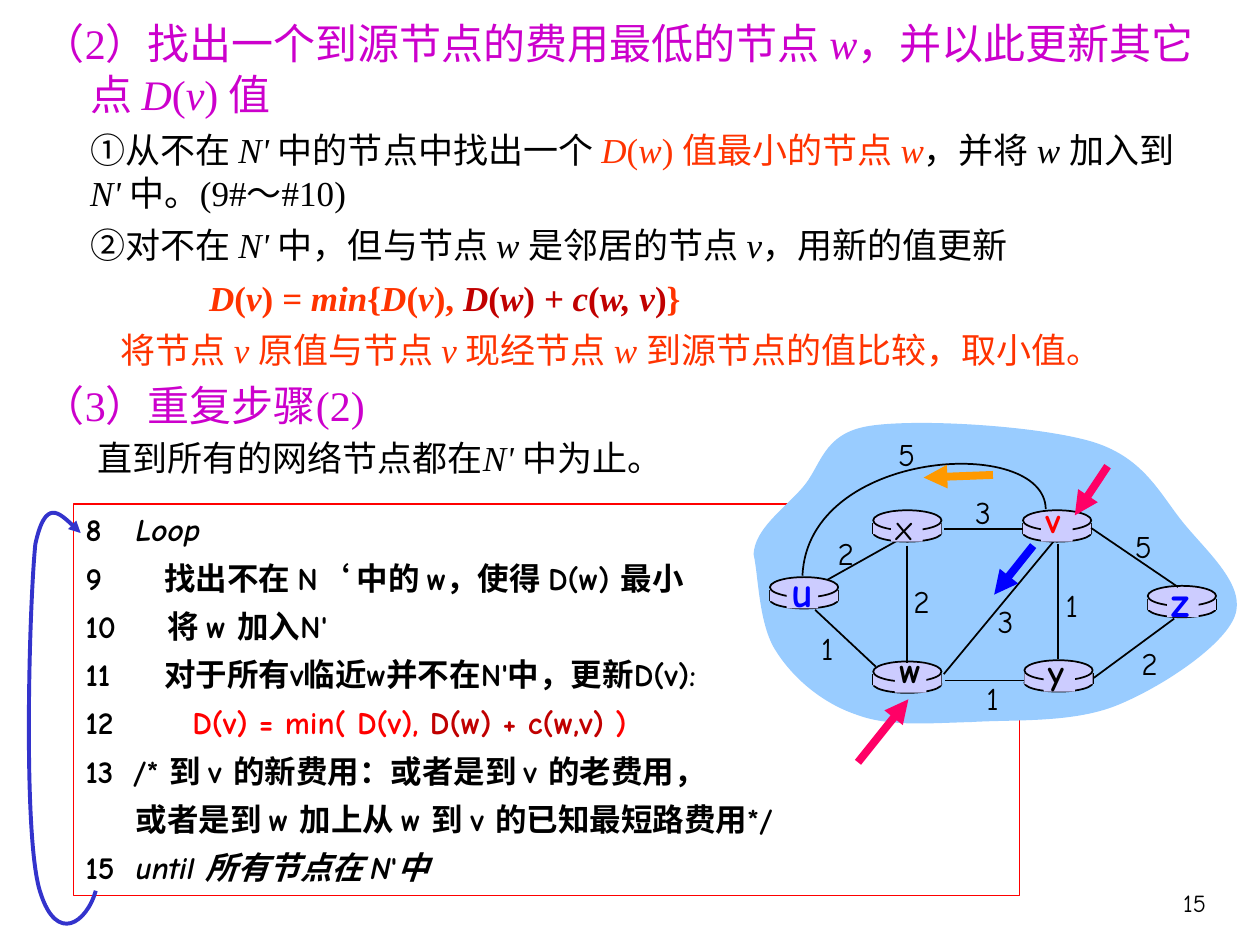
from pptx import Presentation
from pptx.dml.color import RGBColor
from pptx.enum.shapes import MSO_CONNECTOR as Link, MSO_SHAPE as Shape
from pptx.enum.text import MSO_ANCHOR as Anchor, MSO_AUTO_SIZE as Fit, PP_ALIGN as Align
from pptx.oxml.ns import qn
from pptx.util import Pt
from lxml.etree import SubElement

SERIF, COMIC = "Times New Roman", "Comic Neue"
BLACK, MAGENTA, ORANGE, DARK_RED, RED = "000000", "CC00CC", "FF3300", "C00000", "FF0000"
BLUE, PINK, LILAC = "0000FF", "FF0066", "CCCCFF"

# Underscores switch italics on and off.
# Each step: size, bold, left margin, first-line indent, space before, coloured parts.
STEPS = [
    (24, False, 27, -27, 4.8, [(MAGENTA, "（2）找出一个到源节点的费用最低的节点 _w_，并以此更新其它点 _D_(_v_) 值")]),
    (20, False, 27, 0, 6, [
        (BLACK, "①从不在 _N' _中的节点中找出一个 "),
        (ORANGE, "_D_(_w_) 值最小的节点 _w_"),
        (BLACK, "，并将 _w _加入到 _N' _中。(9#～#10)")]),
    (20, False, 27, 0, 6, [(BLACK, "②对不在 _N' _中，但与节点 _w _是邻居的节点 _v_，用新的值更新")]),
    (20, True, 95, 0, 6, [
        (ORANGE, "_D_(_v_)_ = min_{_D_(_v_), "),
        (DARK_RED, "_D_(_w_)_ + c_(_w, v_)"),
        (ORANGE, "}")]),
    (20, False, 44.6, 0, 6, [(ORANGE, "将节点 _v _原值与节点 _v _现经节点 _w _到源节点的值比较，取小值。")]),
    (24, False, 27, -27, 4.8, [(MAGENTA, "（3）重复步骤(2)")]),
    (20, False, 31, 0, 4, [(BLACK, "直到所有的网络节点都在_N' _中为止。")]),
]
CODE = [
    ("8", 28.6, [(BLACK, "_Loop_")]),
    ("9", 45, [(BLACK, "找出不在 N‘ 中的 w，使得 D(w) 最小")]),
    ("10", 47, [(BLACK, "将 w 加入N'")]),
    ("11", 45, [(BLACK, "对于所有v临近w并不在N'中，更新D(v):")]),
    ("12", 61, [(RED, "D(v) = min( D(v), "), (DARK_RED, "D(w) + c(w,v) "), (RED, ")")]),
    ("13", 27, [(BLACK, "/* 到 v 的新费用：或者是到 v 的老费用，")]),
    ("", 28.6, [(BLACK, "或者是到 w 加上从 w 到 v 的已知最短路费用*/")]),
    ("15", 28.6, [(BLACK, "_until 所有节点在 N_'_中_")]),
]
# Each router: name, corner, label corner, label size, label colour, bold.
ROUTERS = [
    ("u", (440, 329.8), (445, 319.7), 24, BLUE, True),
    ("w", (499, 378), (506.9, 367.2), 20, BLACK, True),
    ("x", (499, 291.6), (504.7, 285.1), 20, BLACK, False),
    ("v", (584.6, 291.6), (590.4, 281.5), 20, RED, True),
    ("y", (585.4, 377.3), (591.8, 367.9), 20, BLACK, True),
    ("z", (655.9, 334.8), (662.4, 325.4), 24, BLUE, True),
]
LINKS = [
    (473, 331.2, 515.5, 307.4), (604.8, 311, 604.8, 376.6), (518.4, 311.8, 518.4, 378.7),
    (539.3, 385.2, 601.9, 309.6), (625, 387.4, 671, 353.5), (585.4, 388.8, 540, 388.8),
    (500.4, 380.9, 465.8, 348.5), (584.6, 302.4, 539.3, 302.4), (673.2, 335.5, 623.5, 301.7),
]
COSTS = [
    ("2", 471.6, 301.7), ("2", 514.8, 329), ("1", 462.2, 355.7), ("3", 563, 340.6),
    ("1", 556.6, 384.5), ("1", 601.9, 331.2), ("2", 645.1, 364.3), ("5", 641.5, 297.4),
    ("3", 550.1, 277.9), ("5", 506.2, 244.8),
]
ARROWS = [
    (PINK, 490.3, 435.6, 519.1, 399.6), (PINK, 632.9, 266.4, 614.2, 294.5),
    ("FF9900", 567.4, 271.4, 527.8, 272.9), (BLUE, 590.4, 311.8, 568.1, 339.8),
]
CLOUD = [
    (430.6, 316.8), (431.3, 302.4), (447.1, 291.6), (457.9, 279.4), (469.4, 267.1),
    (469.4, 247.7), (496.8, 243.4), (524.9, 239), (594.7, 243.4), (625, 252.7),
    (654.5, 262.1), (663.1, 283), (676.8, 299.5), (690.5, 316.1), (712.1, 334.8),
    (705.6, 352.1), (699.1, 369.4), (663.1, 393.1), (637.9, 403.2), (612.7, 413.3),
    (579.6, 411.1), (555.1, 412.6), (529.9, 413.3), (507.6, 415.4), (488.9, 408.2),
    (470.2, 401.8), (453.6, 388.1), (443.5, 372.2), (433.4, 357.1), (433.4, 328.3),
    (430.6, 316.8),
]
LOOP = [
    (54.7, 509), (49.7, 527), (32.4, 540), (23, 509.8), (13, 479.5), (16.6, 347),
    (20.2, 311), (25.9, 284.4), (37.4, 295.9), (46.1, 304.6),
]
ARC = [(597.6, 290.9), (596.9, 248.4), (461.5, 256.3), (458.6, 329)]


def colour(value):
    return RGBColor.from_string(value)


def apply(target, values):
    for name, value in values.items():
        setattr(target, name, value)


def add_spans(para, parts, font, size, bold):
    for value, text in parts:
        for index, piece in enumerate(text.split("_")):
            if piece:
                span = para.add_run()
                span.text = piece
                apply(span.font, {"name": font, "size": Pt(size), "bold": bold,
                                  "italic": index % 2 == 1})
                span.font.color.rgb = colour(value)


def next_para(frame, index):
    return frame.add_paragraph() if index else frame.paragraphs[0]


def add_label(shapes, text, left, top, width, height, size, value=BLACK, bold=False):
    box = shapes.add_textbox(Pt(left), Pt(top), Pt(width), Pt(height))
    apply(box.text_frame, {"word_wrap": False, "auto_size": Fit.SHAPE_TO_FIT_TEXT})
    add_spans(box.text_frame.paragraphs[0], [(value, text)], COMIC, size, bold)


def set_line(shape, value, width, arrow=False):
    shape.line.color.rgb = colour(value)
    shape.line.width = Pt(width)
    if arrow:
        SubElement(shape.line._get_or_add_ln(), qn("a:tailEnd"), type="triangle")


def add_line(shapes, ends, value=BLACK, width=1, arrow=False):
    line = shapes.add_connector(Link.STRAIGHT, *map(Pt, ends))
    set_line(line, value, width, arrow)
    SubElement(line.element.spPr, qn("a:effectLst"))


def add_block(shapes, kind, left, top, width, height, fill=None, line=None, weight=1):
    shape = shapes.add_shape(kind, Pt(left), Pt(top), Pt(width), Pt(height))
    paint(shape, fill, line, weight)
    return shape


def paint(shape, fill, line, weight, arrow=False):
    shape.shadow.inherit = False
    if fill:
        shape.fill.solid()
        shape.fill.fore_color.rgb = colour(fill)
    else:
        shape.fill.background()
    if line:
        set_line(shape, line, weight, arrow)
    else:
        shape.line.fill.background()


def add_curve(shapes, points, fill=None, line=None, weight=1, arrow=False):
    start, *rest = [(Pt(x), Pt(y)) for x, y in points]
    builder = shapes.build_freeform(*start)
    builder.add_line_segments(rest, close=bool(fill))
    shape = builder.convert_to_shape()
    path = shape.element.find(".//" + qn("a:path"))
    steps = path.findall(qn("a:lnTo"))
    for first in range(0, len(steps), 3):
        curve = path.makeelement(qn("a:cubicBezTo"))
        steps[first].addprevious(curve)
        for step in steps[first:first + 3]:
            curve.append(step[0])
            path.remove(step)
    paint(shape, fill, line, weight, arrow)


def add_router(shapes, left, top):
    width = 39
    add_block(shapes, Shape.OVAL, left, top + 7.9, width, 10, LILAC, BLACK)
    for side in (left, left + width):
        add_line(shapes, (side, top + 7.2, side, top + 13.7))
    add_block(shapes, Shape.RECTANGLE, left, top + 7.2, width, 6.5, LILAC)
    add_block(shapes, Shape.OVAL, left, top, width, 11.5, LILAC, BLACK)


def add_steps(page):
    page.shapes.title.element.getparent().remove(page.shapes.title.element)
    body = page.placeholders[1]
    apply(body, {"left": Pt(17.3), "top": Pt(6.5), "width": Pt(679), "height": Pt(277.2)})
    apply(body.text_frame, {"auto_size": Fit.NONE, "vertical_anchor": Anchor.TOP})
    for index, (size, bold, margin, indent, before, parts) in enumerate(STEPS):
        para = next_para(body.text_frame, index)
        para.space_before = Pt(before)
        props = para._p.get_or_add_pPr()
        props.set("marL", str(Pt(margin)))
        props.set("indent", str(Pt(indent)))
        SubElement(props, qn("a:buNone"))
        add_spans(para, parts, SERIF, size, bold)


def add_code(page):
    box = add_block(page.shapes, Shape.RECTANGLE, 41.8, 288, 540.7, 223.9, None, RED, 0.75)
    apply(box.text_frame, {"word_wrap": True, "vertical_anchor": Anchor.TOP})
    for index, (number, start, parts) in enumerate(CODE):
        para = next_para(box.text_frame, index)
        apply(para, {"alignment": Align.LEFT, "space_before": Pt(6)})
        props = para._p.get_or_add_pPr()
        if number:
            tabs = SubElement(props, qn("a:tabLst"))
            SubElement(tabs, qn("a:tab"), pos=str(Pt(start)), algn="l")
            parts = [(BLACK, number + "\t")] + parts
        else:
            props.set("marL", str(Pt(start)))
        add_spans(para, parts, COMIC, 18, True)


def add_network(page):
    shapes = page.shapes.add_group_shape().shapes
    add_curve(shapes, CLOUD, fill="99CCFF")
    for _, corner, *_ in ROUTERS:
        add_router(shapes, *corner)
    for ends in LINKS:
        add_line(shapes, ends)
    add_curve(shapes, ARC, line=BLACK)
    for name, (_, top), (left, label_top), size, value, bold in ROUTERS:
        add_block(shapes, Shape.RECTANGLE, left + 4.5, top + 1.4, 18, 16.5, LILAC)
        add_label(shapes, name, left, label_top, 28, size * 1.2 + 7.2, size, value, bold)
    for cost, left, top in COSTS:
        add_label(shapes, cost, left, top, 25, 29, 18)


def main():
    deck = Presentation()
    apply(deck, {"slide_width": Pt(720), "slide_height": Pt(540)})
    page = deck.slides.add_slide(deck.slide_layouts[1])
    add_steps(page)
    add_code(page)
    add_curve(page.shapes, LOOP, line="3333CC", weight=2.25, arrow=True)
    add_network(page)
    for value, *ends in ARROWS:
        add_line(page.shapes, ends, value, 4.5, True)
    number = page.shapes.add_textbox(Pt(643), Pt(504), Pt(53.3), Pt(36))
    number.text_frame.word_wrap = True
    number.text_frame.paragraphs[0].alignment = Align.RIGHT
    add_spans(number.text_frame.paragraphs[0], [(BLACK, "15")], COMIC, 14, False)
    deck.save("out.pptx")


if __name__ == "__main__":
    main()
